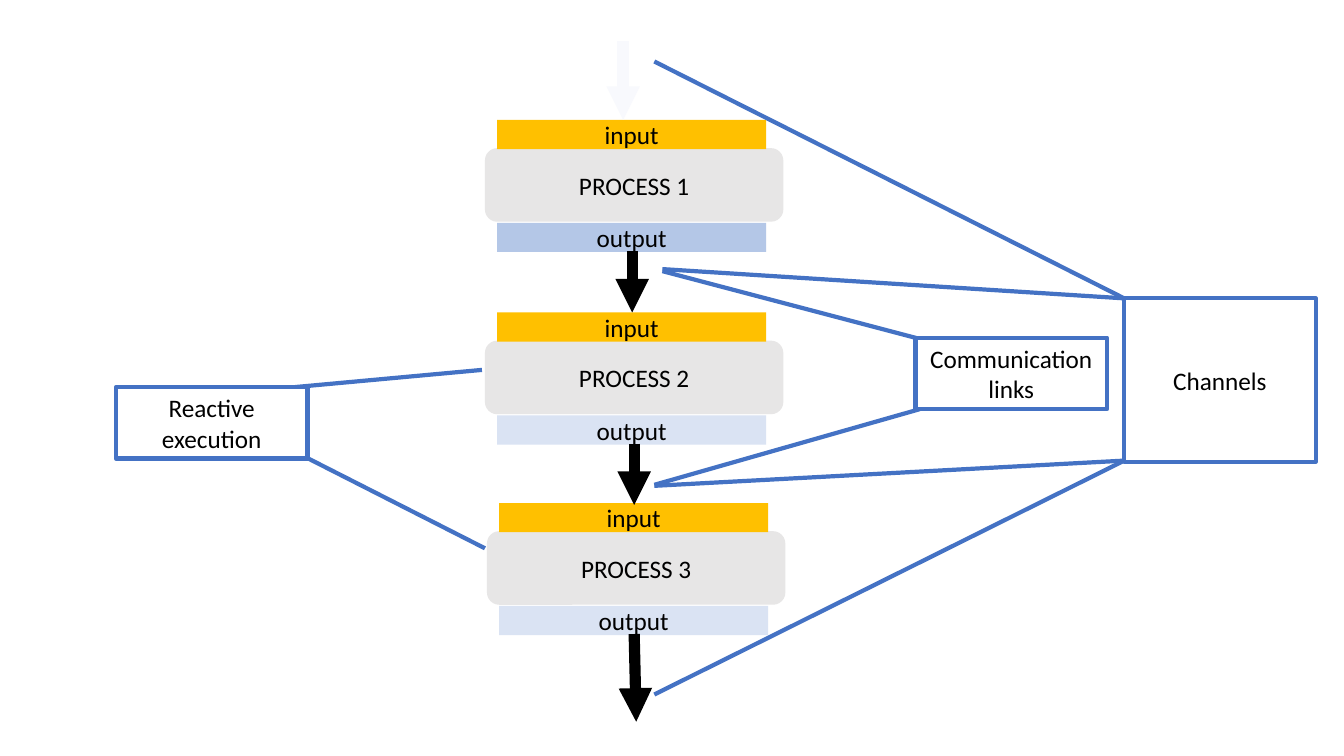
from pptx import Presentation
from pptx.dml.color import RGBColor
from pptx.enum.shapes import MSO_CONNECTOR as Connector, MSO_SHAPE as Shape
from pptx.enum.text import MSO_ANCHOR as Anchor, PP_ALIGN as Align
from pptx.oxml.ns import qn
from pptx.util import Emu, Pt
from lxml.etree import SubElement

BLACK = RGBColor(0x00, 0x00, 0x00)
WHITE = RGBColor(0xFF, 0xFF, 0xFF)
BLUE = RGBColor(0x44, 0x72, 0xC4)
GREY = RGBColor(0xE7, 0xE6, 0xE6)
AMBER = RGBColor(0xFF, 0xC0, 0x00)
MID_BLUE = RGBColor(0xB4, 0xC7, 0xE7)
PALE_BLUE = RGBColor(0xDA, 0xE3, 0xF3)
FAINT = RGBColor(0xF8, 0xF9, 0xFD)


class ProcessDiagram:
    scale = 9144
    font_name = "Calibri"
    font_size = Pt(18)
    link_width = Pt(3)
    arrow_width = Pt(8)

    def __init__(self, slide):
        self.slide = slide

    def px(self, *lengths):
        return [Emu(length * self.scale) for length in lengths]

    def box(self, text, bounds, fill, kind=Shape.RECTANGLE, outline=None, shapes=None):
        shape = (shapes or self.slide.shapes).add_shape(kind, *self.px(*bounds))
        shape.shadow.inherit = False
        shape.fill.solid()
        shape.fill.fore_color.rgb = fill
        if outline is None:
            shape.line.fill.background()
        else:
            shape.line.color.rgb = outline
            shape.line.width = self.link_width
        text_frame = shape.text_frame
        text_frame.word_wrap = True
        text_frame.vertical_anchor = Anchor.MIDDLE
        text_frame.text = text
        paragraph = text_frame.paragraphs[0]
        paragraph.alignment = Align.CENTER
        font = paragraph.runs[0].font
        font.name = self.font_name
        font.size = self.font_size
        font.color.rgb = BLACK

    def label(self, text, bounds):
        self.box(text, bounds, WHITE, outline=BLUE)

    def process(self, name, left, top, output_fill):
        shapes = self.slide.shapes.add_group_shape().shapes
        self.box(name, (left, top + 28, 296, 73), GREY, Shape.ROUNDED_RECTANGLE, shapes=shapes)
        self.box("output", (left + 12, top + 102, 267, 29), output_fill, shapes=shapes)
        self.box("input", (left + 12, top, 267, 29), AMBER, shapes=shapes)

    def link(self, start, end, color=BLUE, width=link_width):
        connector = self.slide.shapes.add_connector(Connector.STRAIGHT, *self.px(*start, *end))
        connector.line.color.rgb = color
        connector.line.width = width
        SubElement(connector._element.spPr, qn("a:effectLst"))
        return connector

    def arrow(self, start, end, color=BLACK):
        connector = self.link(start, end, color, self.arrow_width)
        SubElement(connector.line._get_or_add_ln(), qn("a:tailEnd"), type="triangle")


def main():
    presentation = Presentation()
    presentation.slide_width = Emu(1333 * ProcessDiagram.scale)
    presentation.slide_height = Emu(750 * ProcessDiagram.scale)
    slide = presentation.slides.add_slide(presentation.slide_layouts[6])
    diagram = ProcessDiagram(slide)

    diagram.process("PROCESS 1", 481, 119, MID_BLUE)
    diagram.process("PROCESS 2", 481, 310, PALE_BLUE)
    diagram.process("PROCESS 3", 483, 499, PALE_BLUE)

    diagram.arrow((618, 41), (618, 119), FAINT)
    diagram.arrow((627, 249), (627, 310))
    diagram.arrow((629, 440), (629, 501))
    diagram.arrow((629, 629), (631, 716))

    diagram.link((657, 269), (915, 337))
    diagram.link((649, 481), (912, 406))
    diagram.label("Communication links", (908, 335, 190, 71))

    diagram.link((478, 367), (293, 384))
    diagram.link((481, 544), (304, 454))
    diagram.label("Reactive execution", (115, 384, 190, 71))

    diagram.link((649, 61), (1115, 296))
    diagram.link((657, 267), (1115, 296))
    diagram.link((649, 482), (1115, 457))
    diagram.link((649, 689), (1113, 458))
    diagram.label("Channels", (1115, 296, 190, 162))

    presentation.save("out.pptx")


if __name__ == "__main__":
    main()
